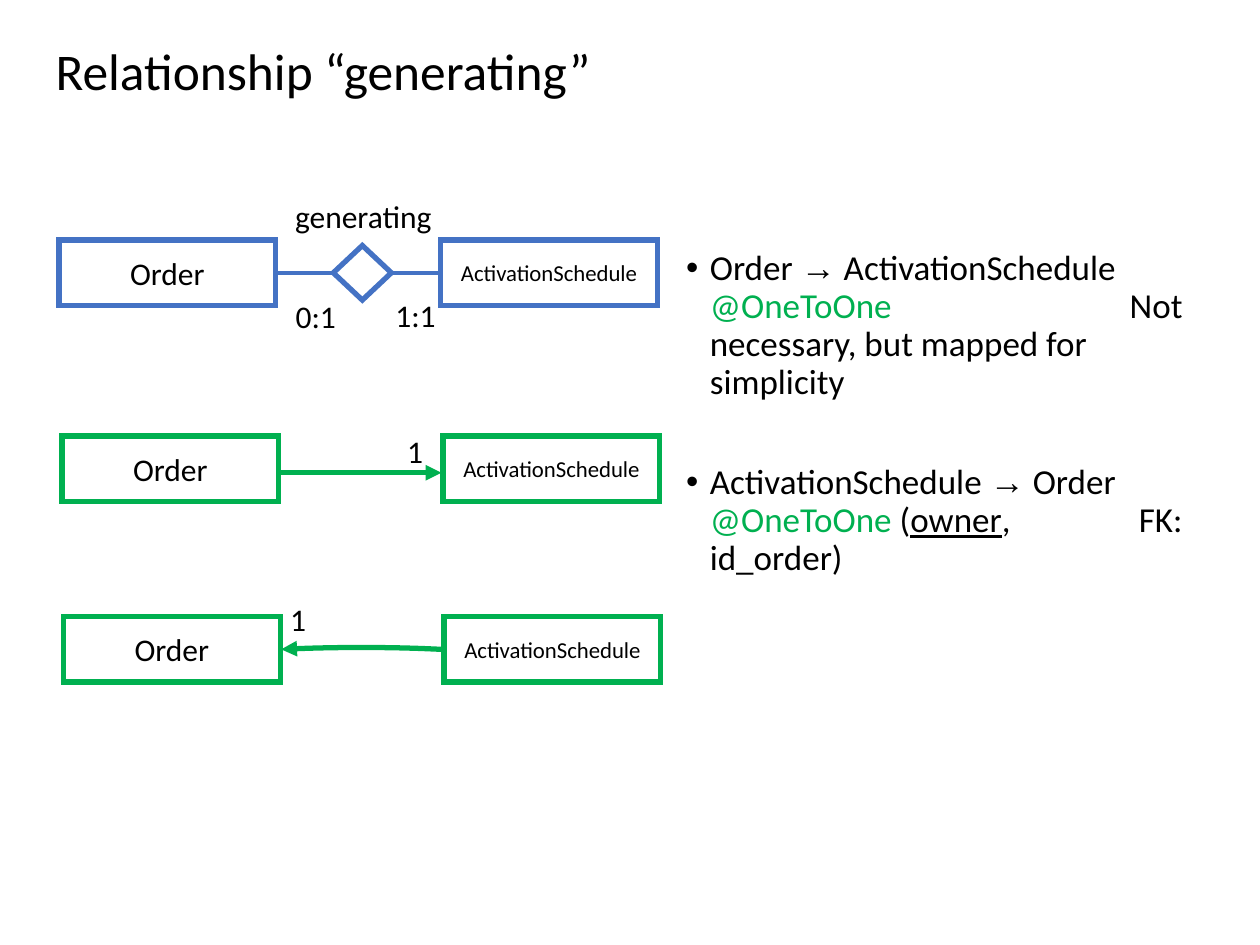
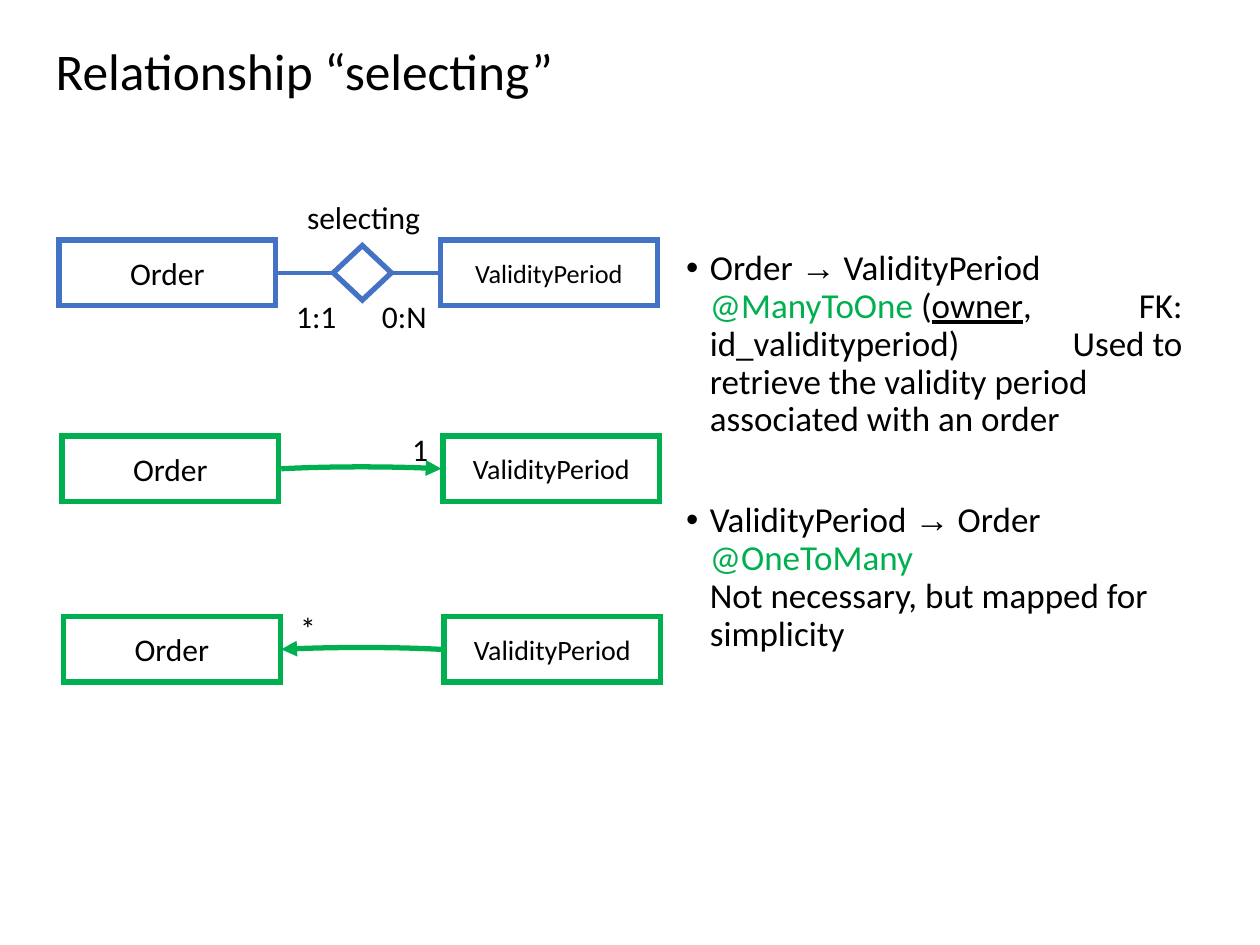
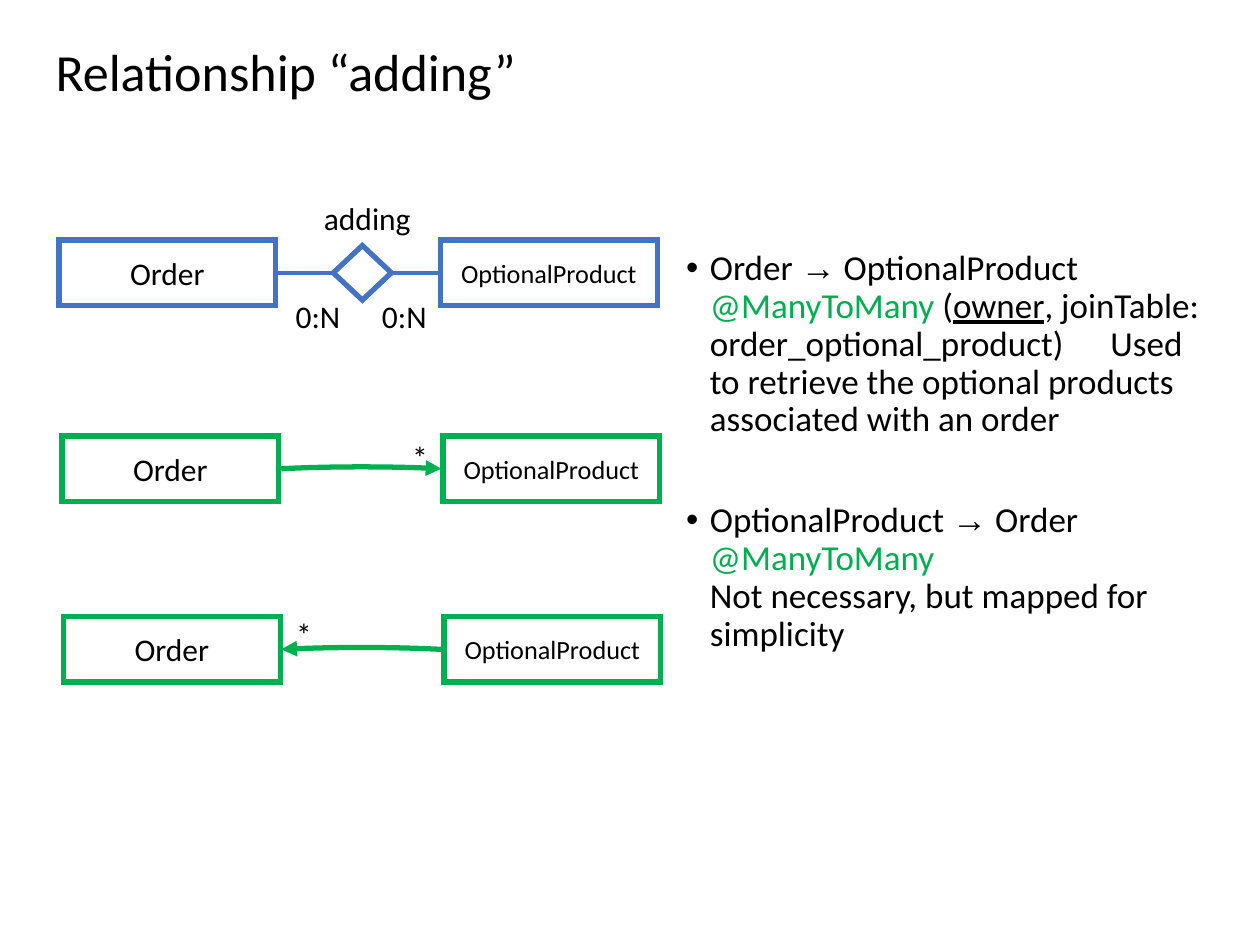
"""Build three slides that map entity relationships to JPA annotations."""
from lxml.etree import SubElement
from pptx import Presentation
from pptx.dml.color import RGBColor
from pptx.enum.shapes import MSO_CONNECTOR as LINK, MSO_SHAPE as SHAPE
from pptx.enum.text import MSO_ANCHOR as ANCHOR, MSO_AUTO_SIZE as FIT, PP_ALIGN as ALIGN
from pptx.oxml.ns import qn
from pptx.util import Cm, Pt

BLACK, WHITE, BLUE, GREEN = "000000", "FFFFFF", "4472C4", "00B050"
FONT = "Calibri"
BOX_WIDTH, BOX_HEIGHT = 4.37, 1.32
ROWS = [
    (1.19, 8.88, 4.84, BLUE),
    (1.25, 8.93, 8.79, GREEN),
    (1.28, 8.95, 12.43, GREEN),
]
ARROW_LEFT, ARROW_RIGHT, ARROW_STEPS = 5.67, 8.9, 12
NOT_NEEDED = ["\n", "Not necessary, but mapped for simplicity"]

RELATIONSHIPS = [
    {
        "title": "Relationship “generating”", "title_size": 29.4,
        "entity": "ActivationSchedule", "entity_sizes": (13, 13, 13),
        "straight": True,
        "labels": [
            ("generating", 5.82, 3.84, 3.05), ("0:1", 5.83, 5.85, 1.09),
            ("1:1", 7.84, 5.84, 1.09), ("1", 8.08, 8.57, 0.61), ("1", 5.72, 11.96, 0.61),
        ],
        "mappings": [
            ["Order ", "→", " ActivationSchedule", "\n", "@OneToOne", "\tNot", "\n",
             "necessary, but mapped for simplicity"],
            ["ActivationSchedule ", "→", " Order", "\n", "@OneToOne", " (", "owner",
             ",\tFK:", "\n", "id_order)"],
        ],
    },
    {
        "title": "Relationship “selecting”", "title_size": 29.4,
        "entity": "ValidityPeriod", "entity_sizes": (15, 16, 16),
        "straight": False,
        "labels": [
            ("selecting", 6.06, 3.86, 2.57), ("1:1", 5.84, 5.85, 1.09),
            ("0:N", 7.57, 5.85, 1.19), ("1", 8.18, 8.53, 0.61), ("*", 5.92, 12.14, 0.61),
        ],
        "mappings": [
            ["Order ", "→", " ValidityPeriod", "\n", "@ManyToOne", " (", "owner", ",\tFK:",
             "\n", "id_validityperiod)\tUsed to", "\n",
             "retrieve the validity period associated with an order"],
            ["ValidityPeriod ", "→", " Order", "\n", "@OneToMany", *NOT_NEEDED],
        ],
    },
    {
        "title": "Relationship “adding”", "title_size": 29.8,
        "entity": "OptionalProduct", "entity_sizes": (15, 15, 15),
        "straight": False,
        "labels": [
            ("adding", 6.4, 3.89, 2.03), ("0:N", 5.83, 5.85, 1.19),
            ("0:N", 7.57, 5.85, 1.19), ("*", 8.18, 8.71, 0.61), ("*", 5.84, 12.27, 0.61),
        ],
        "mappings": [
            ["Order ", "→", " OptionalProduct", "\n", "@ManyToMany", " (", "owner",
             ", joinTable:", "\n", "order_optional_product)\tUsed", "\n",
             "to retrieve the optional products associated with an order"],
            ["OptionalProduct ", "→", " Order", "\n", "@ManyToMany", *NOT_NEEDED],
        ],
    },
]


def write(shape, text, size, align=ALIGN.LEFT, anchor=ANCHOR.TOP, wrap=True):
    """Fill the shape's text frame with one black paragraph and return the frame."""
    frame = shape.text_frame
    frame.text = text
    frame.word_wrap = wrap
    frame.auto_size = FIT.NONE
    frame.vertical_anchor = anchor
    frame.margin_left = frame.margin_right = Cm(0.13)
    frame.margin_top = frame.margin_bottom = Cm(0.13)
    paragraph = frame.paragraphs[0]
    paragraph.alignment = align
    paragraph.font.name = FONT
    paragraph.font.size = Pt(size)
    paragraph.font.color.rgb = RGBColor.from_string(BLACK)
    return frame


def outline(shape, color, width=3, arrow=False):
    """Draw the shape's line with sharp corners, no shadow and, if asked, an arrowhead."""
    shape.line.color.rgb = RGBColor.from_string(color)
    shape.line.width = Pt(width)
    properties = shape._element.spPr
    line = properties.find(qn("a:ln"))
    SubElement(line, qn("a:miter"), lim="800000")
    if arrow:
        SubElement(line, qn("a:tailEnd"), type="triangle")
    SubElement(properties, qn("a:effectLst"))


deck = Presentation()
deck.slide_width, deck.slide_height = Cm(25.4), Cm(19.05)

for relationship in RELATIONSHIPS:
    slide = deck.slides.add_slide(deck.slide_layouts[5])
    shapes = slide.shapes

    title = shapes.title
    title.left, title.top, title.width, title.height = Cm(0.99), Cm(0.86), Cm(23.32), Cm(1.27)
    heading = write(title, relationship["title"], relationship["title_size"], anchor=ANCHOR.MIDDLE)
    heading.paragraphs[0].line_spacing = 0.9

    mappings = shapes.add_textbox(Cm(13.7), Cm(4.92), Cm(10.75), Cm(13.11))
    notes = write(mappings, "", 20)
    for number, pieces in enumerate(relationship["mappings"]):
        paragraph = notes.add_paragraph() if number else notes.paragraphs[0]
        paragraph.line_spacing = 0.9
        if number:
            paragraph.space_before = Pt(36)
        properties = paragraph._p.get_or_add_pPr()
        properties.set("marL", str(Cm(0.48)))
        properties.set("indent", str(-Cm(0.48)))
        for default in properties.findall(qn("a:defRPr")):
            properties.remove(default)
        SubElement(properties, qn("a:buFont"), typeface="Arial")
        SubElement(properties, qn("a:buChar"), char="•")
        tabs = SubElement(properties, qn("a:tabLst"))
        SubElement(tabs, qn("a:tab"), pos=str(Cm(10.2)), algn="r")
        paragraph.font.size = Pt(20)
        for piece in pieces:
            if piece == "\n":
                paragraph.add_line_break()
                continue
            run = paragraph.add_run()
            run.text = piece
            run.font.size = Pt(20)
            run.font.name = "Arial" if piece == "→" else FONT
            run.font.color.rgb = RGBColor.from_string(GREEN if piece.startswith("@") else BLACK)
            if piece == "owner":
                run.font.underline = True

    pairs = []
    for (order_left, entity_left, top, color), entity_size in zip(ROWS, relationship["entity_sizes"]):
        pair = []
        for name, left, size in (("Order", order_left, 18),
                                 (relationship["entity"], entity_left, entity_size)):
            box = shapes.add_shape(SHAPE.RECTANGLE, Cm(left), Cm(top), Cm(BOX_WIDTH), Cm(BOX_HEIGHT))
            if color == BLUE:
                box.fill.solid()
                box.fill.fore_color.rgb = RGBColor.from_string(WHITE)
            else:
                box.fill.background()
            outline(box, color)
            write(box, name, size, ALIGN.CENTER, ANCHOR.MIDDLE)
            pair.append(box)
        pairs.append(pair)

    diamond = shapes.add_shape(SHAPE.DIAMOND, Cm(6.72), Cm(4.95), Cm(1.17), Cm(1.1))
    diamond.fill.solid()
    diamond.fill.fore_color.rgb = RGBColor.from_string(WHITE)
    outline(diamond, BLUE)
    for box, box_side, diamond_side in zip(pairs[0], (3, 1), (1, 3)):
        link = shapes.add_connector(LINK.STRAIGHT, 0, 0, 0, 0)
        link.begin_connect(box, box_side)
        link.end_connect(diamond, diamond_side)
        outline(link, BLUE, 2.25)

    for (order, entity), forward in zip(pairs[1:], (True, False)):
        if forward and relationship["straight"]:
            arrow = shapes.add_connector(LINK.STRAIGHT, Cm(5.6), Cm(9.53), Cm(8.9), Cm(9.53))
        else:
            middle = order.top + order.height // 2
            points = []
            for step in range(ARROW_STEPS + 1):
                part = step / ARROW_STEPS
                x = Cm(ARROW_LEFT + part * (ARROW_RIGHT - ARROW_LEFT))
                points.append((x, middle - Cm(0.15 * part * (1 - part))))
            if not forward:
                points.reverse()
            curve = shapes.build_freeform(*points[0])
            curve.add_line_segments(points[1:], close=False)
            arrow = curve.convert_to_shape()
            arrow.fill.background()
        outline(arrow, GREEN, arrow=True)

    for text, left, top, width in relationship["labels"]:
        label = shapes.add_textbox(Cm(left), Cm(top), Cm(width), Cm(0.91))
        write(label, text, 18, wrap=False)

deck.save("out.pptx")
